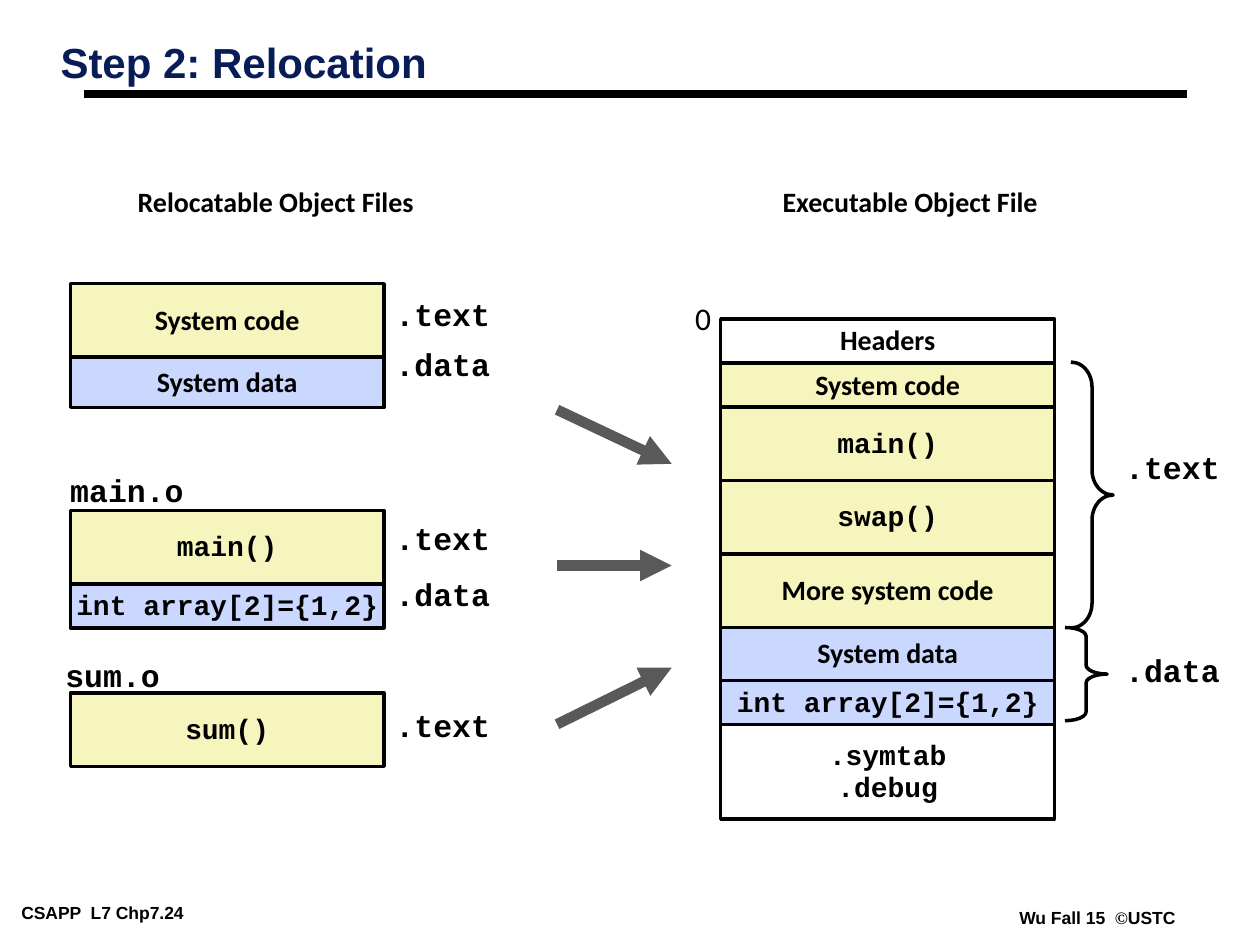
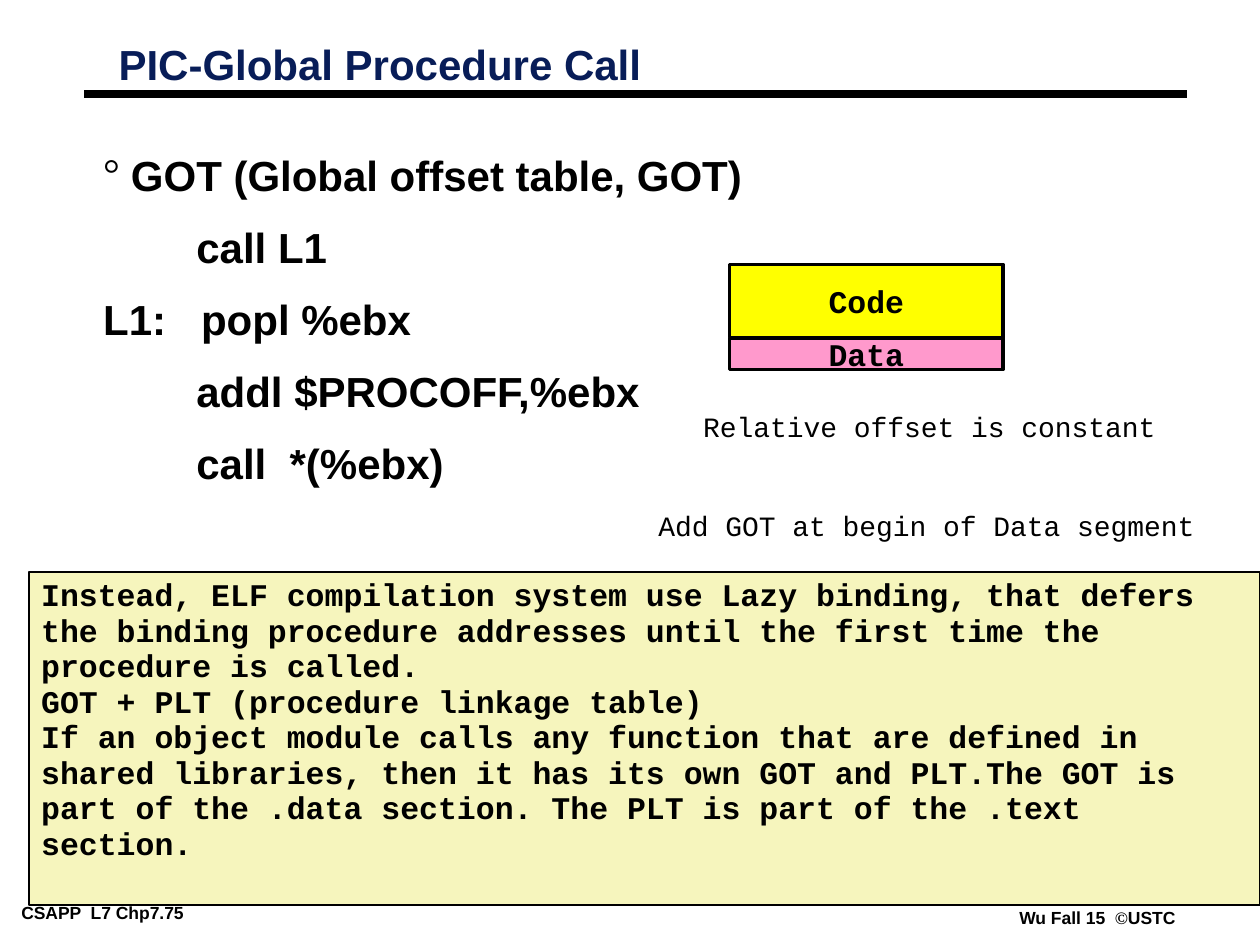
from lxml import etree
from pptx import Presentation
from pptx.dml.color import RGBColor
from pptx.enum.shapes import MSO_CONNECTOR, MSO_SHAPE
from pptx.enum.text import MSO_ANCHOR, MSO_AUTO_SIZE, PP_ALIGN
from pptx.oxml.ns import qn
from pptx.util import Cm, Pt

RECTANGLE, RIGHT_BRACE = MSO_SHAPE.RECTANGLE, MSO_SHAPE.RIGHT_BRACE
STRAIGHT = MSO_CONNECTOR.STRAIGHT
TOP, MIDDLE = MSO_ANCHOR.TOP, MSO_ANCHOR.MIDDLE
LEFT, CENTER = PP_ALIGN.LEFT, PP_ALIGN.CENTER
NO_AUTOFIT = MSO_AUTO_SIZE.NONE

COLORS = {
    "black": "000000",
    "title": "081D58",
    "header": "FFFFFF",
    "code": "F6F5BD",
    "data": "CAD7FE",
    "arrow": "595959",
    "bright code": "FFFF00",
    "bright data": "FF99CC",
}
SANS, SERIF, LABEL, CODE = "Arial", "Times New Roman", "Calibri", "Courier New"
LINE_SPACING = {LABEL: 0.98, CODE: 0.94}
WIDE_INSETS, TIGHT_INSETS = (0.25, 0.13), (0.18, 0.08)
TITLE_ONLY, TITLE_AND_BODY = 5, 1

SYSTEM_CODE = ("System code", "code", LABEL)
SYSTEM_DATA = ("System data", "data", LABEL)
MAIN_CODE = ("main()", "code", CODE)
MAIN_DATA = ("int array[2]={1,2}", "data", CODE)
CODE_HEIGHT, DATA_HEIGHT, ROW_HEIGHT = 1.48, 1.02, 0.89

GOT_CODE = [
    "GOT (Global offset table, GOT)",
    "        call L1",
    "L1:   popl %ebx",
    "        addl $PROCOFF,%ebx",
    "        call  *(%ebx)",
]
LAZY_BINDING = [
    "Instead, ELF compilation system use Lazy binding, that defers",
    "the binding procedure addresses until the first time the",
    "procedure is called.",
    "GOT + PLT (procedure linkage table)",
    "If an object module calls any function that are defined in",
    "shared libraries, then it has its own GOT and PLT.The GOT is",
    "part of the .data section. The PLT is part of the .text section.",
]


def rgb(name):
    return RGBColor.from_string(COLORS[name])


def box(left, top, width, height):
    return Cm(left), Cm(top), Cm(width), Cm(height)


def place(shape, left, top, width, height):
    shape.left, shape.top, shape.width, shape.height = box(left, top, width, height)


def set_frame(frame, insets, wrap, anchor=TOP):
    frame.auto_size = NO_AUTOFIT
    frame.word_wrap = wrap
    frame.vertical_anchor = anchor
    frame.margin_left = frame.margin_right = Cm(insets[0])
    frame.margin_top = frame.margin_bottom = Cm(insets[1])


def style(paragraph, font_name, size, color="black", bold=True, align=LEFT, spacing=1.0):
    paragraph.alignment = align
    paragraph.line_spacing = spacing
    font = paragraph.font
    font.name, font.size, font.bold = font_name, Pt(size), bold
    font.color.rgb = rgb(color)


def write(frame, lines, font_name, size, **options):
    """Fill a text frame with one paragraph for each line."""
    for index, line in enumerate(lines):
        paragraph = frame.add_paragraph() if index else frame.paragraphs[0]
        paragraph.text = line
        style(paragraph, font_name, size, **options)


def add_label(slide, text, area, font_name=CODE, size=18, bold=True, spacing=None):
    frame = slide.shapes.add_textbox(*box(*area)).text_frame
    set_frame(frame, WIDE_INSETS, wrap=False)
    write(frame, [text], font_name, size, bold=bold, align=CENTER,
          spacing=spacing or LINE_SPACING[font_name])


def add_section_label(slide, text, left, top):
    add_label(slide, text, (left, top, 2.41, 0.97))


def add_rectangle(slide, area, fill, line_width):
    shape = slide.shapes.add_shape(RECTANGLE, *box(*area))
    shape.shadow.inherit = False
    shape.fill.solid()
    shape.fill.fore_color.rgb = rgb(fill)
    shape.line.color.rgb = rgb("black")
    shape.line.width = Pt(line_width)
    return shape


def add_line(slide, start, end, color, width):
    line = slide.shapes.add_connector(STRAIGHT, *(Cm(value) for value in start + end))
    line.line.color.rgb = rgb(color)
    line.line.width = Pt(width)
    etree.SubElement(line._element.spPr, qn("a:effectLst"))
    return line


def add_arrow(slide, start, end):
    arrow = add_line(slide, start, end, "arrow", 6)
    etree.SubElement(arrow.line._get_or_add_ln(), qn("a:tailEnd"), type="triangle")


def add_brace(slide, left, top, height, curve):
    brace = slide.shapes.add_shape(RIGHT_BRACE, *box(left, top, 0.85, height))
    brace.shadow.inherit = False
    brace.fill.background()
    brace.line.color.rgb = rgb("black")
    brace.line.width = Pt(2)
    brace.adjustments[0] = curve


def add_stack(slide, left, top, width, rows, size=16, spacing=None):
    """Stack rectangles downwards; a row is ((text, fill, font), height)."""
    for (text, fill, font_name), height in rows:
        shape = add_rectangle(slide, (left, top, width, height), fill, 2)
        set_frame(shape.text_frame, WIDE_INSETS, wrap=False, anchor=MIDDLE)
        write(shape.text_frame, text.split("\n"), font_name, size, align=CENTER,
              spacing=spacing or LINE_SPACING[font_name])
        top += height


def add_footer(slide, page):
    frame = slide.shapes.add_textbox(*box(0.25, 18.11, 4.95, 0.56)).text_frame
    set_frame(frame, TIGHT_INSETS, wrap=True)
    write(frame, [f"CSAPP  L7 Chp7.{page}"], SANS, 10)

    frame = slide.shapes.add_textbox(*box(20.37, 18.21, 4, 0.56)).text_frame
    set_frame(frame, TIGHT_INSETS, wrap=True)
    paragraph = frame.paragraphs[0]
    for text, font_name in (("Wu Fall 15  ", SANS), ("©", SERIF), ("USTC", SANS)):
        run = paragraph.add_run()
        run.text, run.font.name = text, font_name
    style(paragraph, SANS, 10)


def add_base_slide(presentation, layout, title, title_area, page):
    """Add a slide with its footer, title rule and title."""
    slide = presentation.slides.add_slide(presentation.slide_layouts[layout])
    add_footer(slide, page)
    add_line(slide, (1.7, 1.9), (23.93, 1.9), "black", 4.5)
    place(slide.shapes.title, *title_area)
    frame = slide.shapes.title.text_frame
    set_frame(frame, TIGHT_INSETS, wrap=True)
    write(frame, [title], SANS, 24, color="title", spacing=0.87)
    return slide


def add_object_file(slide, left, top, rows, sections, name=None, name_offset=(0, 0)):
    """Draw an object file; sections are (text, distance below its top)."""
    width = 6.32
    add_stack(slide, left, top, width, rows)
    for text, offset in sections:
        add_section_label(slide, text, left + width - 0.02, top + offset)
    if name:
        x_offset, y_offset = name_offset
        label_width = 0.5 + 0.38 * len(name)
        add_label(slide, name, (left + x_offset, top + y_offset, label_width, 0.97))


def add_executable(slide, left, top):
    rows = [
        (("Headers", "header", LABEL), ROW_HEIGHT),
        (SYSTEM_CODE, ROW_HEIGHT),
        (MAIN_CODE, CODE_HEIGHT),
        (("swap()", "code", CODE), CODE_HEIGHT),
        (("More system code", "code", LABEL), CODE_HEIGHT),
        (SYSTEM_DATA, DATA_HEIGHT + 0.05),
        (MAIN_DATA, ROW_HEIGHT),
        ((".symtab\n.debug", "header", CODE), 1.9),
    ]
    add_stack(slide, left, top, 6.73, rows)
    add_label(slide, "0", (left - 0.76, top - 0.49, 0.81, 1.02), LABEL, bold=False)
    add_brace(slide, left + 7.06, top + 0.87, 5.36, curve=0.59)
    add_brace(slide, left + 6.94, top + 6.22, 1.88, curve=0.21)
    add_section_label(slide, ".text", left + 7.9, top + 2.54)
    add_section_label(slide, ".data", left + 7.9, top + 6.63)


def add_relocation_slide(presentation):
    slide = add_base_slide(presentation, TITLE_ONLY, "Step 2: Relocation",
                           (1.04, 0.79, 21.11, 1.6), 24)
    add_label(slide, "Relocatable Object Files", (2.51, 3.63, 6.1, 0.91), LABEL, 16)
    add_label(slide, "Executable Object File", (15.52, 3.63, 5.66, 0.91), LABEL, 16)

    files_left = 1.42
    add_object_file(slide, files_left, 5.72,
                    [(SYSTEM_CODE, CODE_HEIGHT), (SYSTEM_DATA, DATA_HEIGHT)],
                    [(".text", 0.15), (".data", 1.16)])
    add_object_file(slide, files_left, 10.29,
                    [(MAIN_CODE, CODE_HEIGHT), (MAIN_DATA, ROW_HEIGHT)],
                    [(".text", 0.1), (".data", 1.24)], "main.o", (-0.25, -0.87))
    add_object_file(slide, files_left, 13.97,
                    [(("sum()", "code", CODE), CODE_HEIGHT)],
                    [(".text", 0.2)], "sum.o", (-0.35, -0.81))

    for start_y, end_y in ((8.26, 9.35), (11.4, 11.4), (14.6, 13.46)):
        add_arrow(slide, (11.23, start_y), (13.54, end_y))
    add_executable(slide, 14.53, 6.43)


def set_bullet(paragraph, character, indent):
    """Give a hanging indent and a bullet, or no bullet without a character."""
    properties = paragraph._p.get_or_add_pPr()
    properties.set("marL", str(Cm(indent)))
    properties.set("indent", str(-Cm(indent)))
    if character:
        color = etree.SubElement(properties, qn("a:buClr"))
        etree.SubElement(color, qn("a:srgbClr"), val=COLORS["black"])
        etree.SubElement(properties, qn("a:buFont"), typeface=SERIF)
        etree.SubElement(properties, qn("a:buChar"), char=character)
    else:
        etree.SubElement(properties, qn("a:buNone"))


def fill_got_body(body, area):
    place(body, *area)
    frame = body.text_frame
    set_frame(frame, TIGHT_INSETS, wrap=True)
    for index, line in enumerate(GOT_CODE):
        paragraph = frame.add_paragraph() if index else frame.paragraphs[0]
        paragraph.text = line
        set_bullet(paragraph, None if index else "°", 0.56)
        paragraph.space_before = Pt(19.5 if index else 0)
        style(paragraph, SANS, 24, spacing=0.75)


def add_note(slide, area):
    note = add_rectangle(slide, area, "code", 1)
    set_frame(note.text_frame, WIDE_INSETS, wrap=True)
    write(note.text_frame, LAZY_BINDING, CODE, 18, spacing=LINE_SPACING[CODE])


def add_procedure_call_slide(presentation):
    slide = add_base_slide(presentation, TITLE_AND_BODY, "PIC-Global Procedure Call",
                           (2.21, 0.84, 12.67, 2.03), 75)
    fill_got_body(slide.placeholders[1], (1.9, 3.18, 21.79, 6.71))
    segments = [(("Code", "bright code", CODE), CODE_HEIGHT),
                (("Data", "bright data", CODE), 0.64)]
    add_stack(slide, 14.71, 5.33, 5.51, segments, size=18, spacing=1.0)
    for text, area in (
        ("Relative offset is constant", (13.92, 8.13, 9.63, 0.94)),
        ("Add GOT at begin of Data segment", (13.03, 10.13, 11.3, 0.94)),
    ):
        add_label(slide, text, area, size=16, bold=False, spacing=1.0)
    add_note(slide, (0.58, 11.53, 24.82, 6.71))


def main():
    presentation = Presentation()
    presentation.slide_width, presentation.slide_height = Cm(25.4), Cm(19.05)
    add_relocation_slide(presentation)
    add_procedure_call_slide(presentation)
    presentation.save("out.pptx")


if __name__ == "__main__":
    main()
